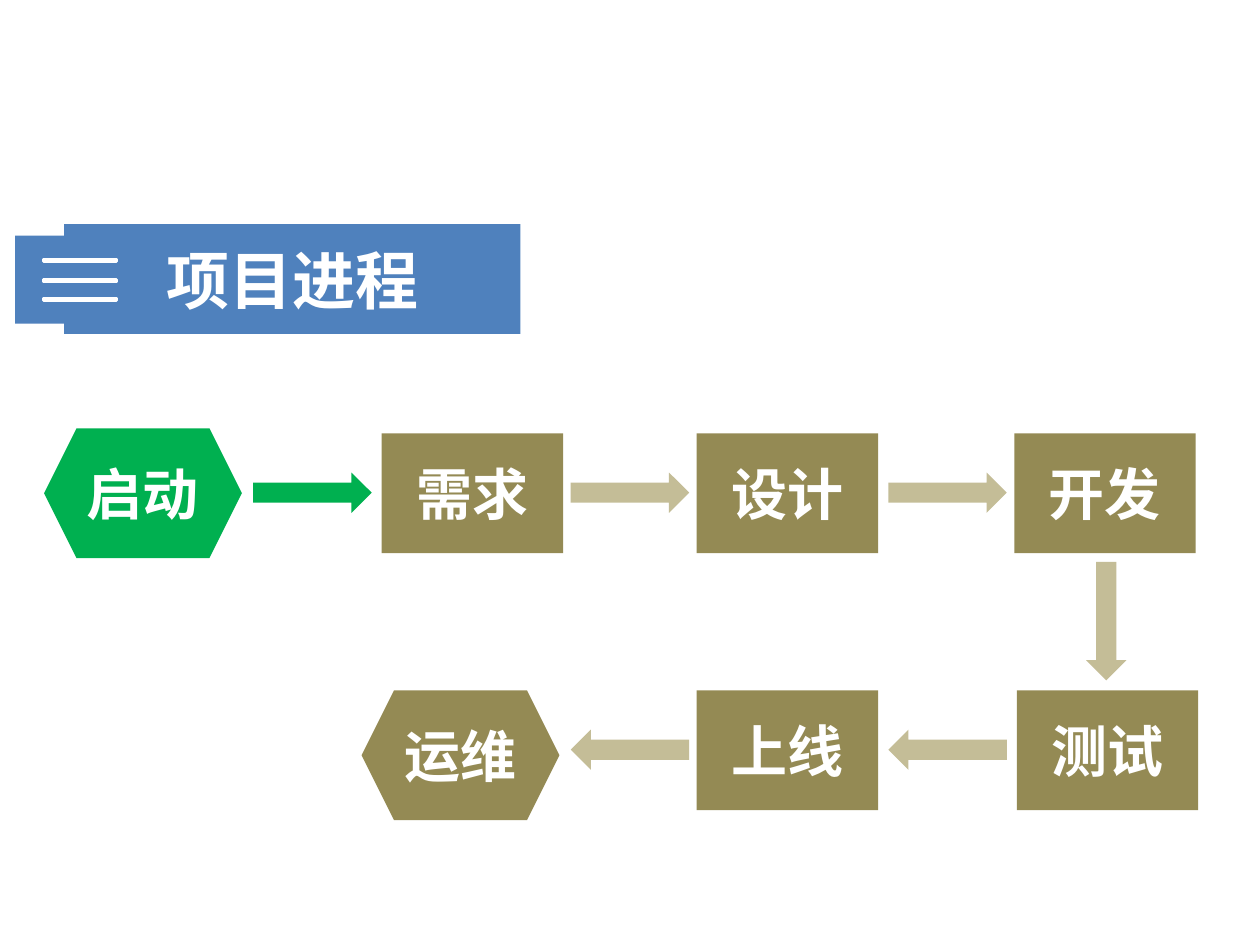
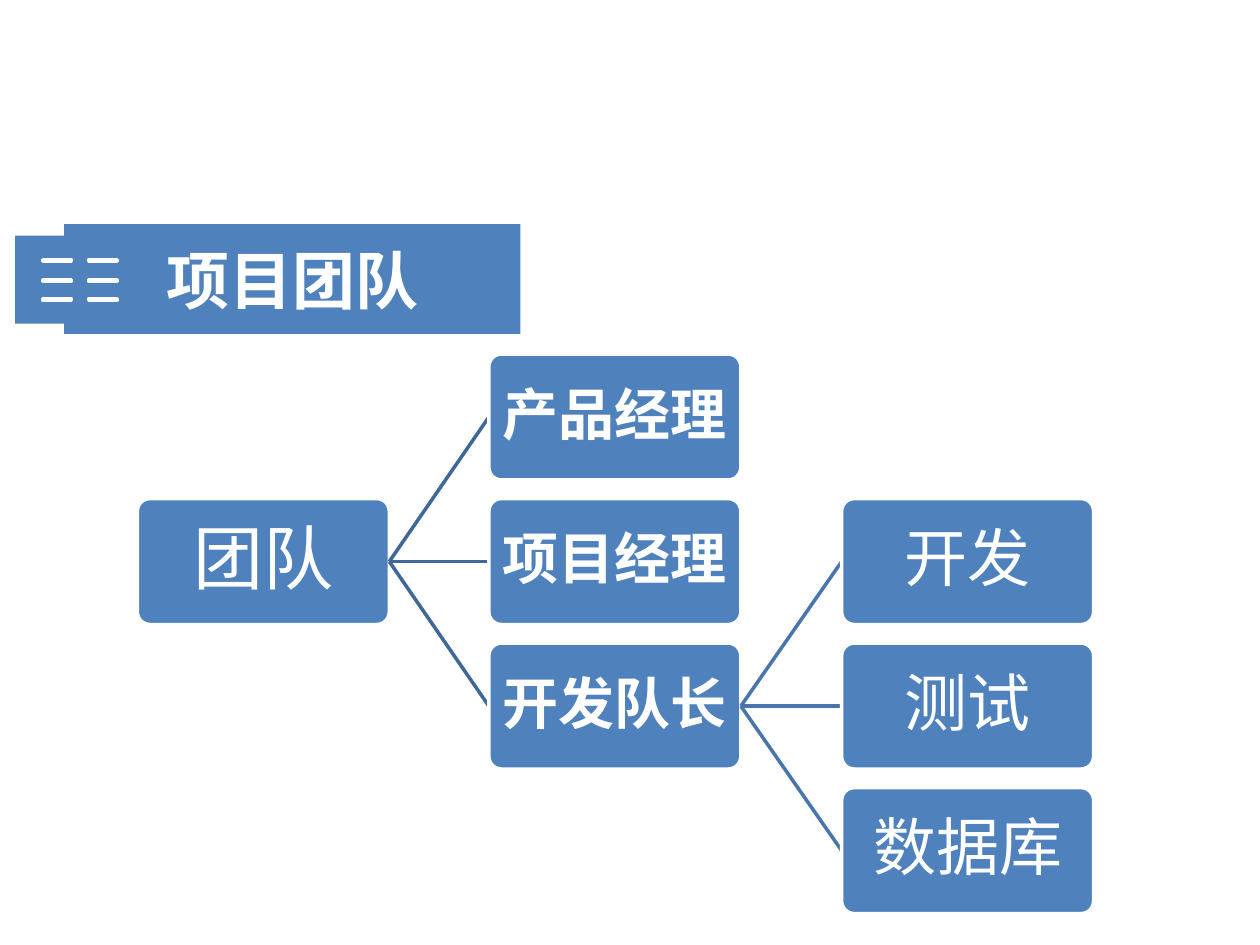
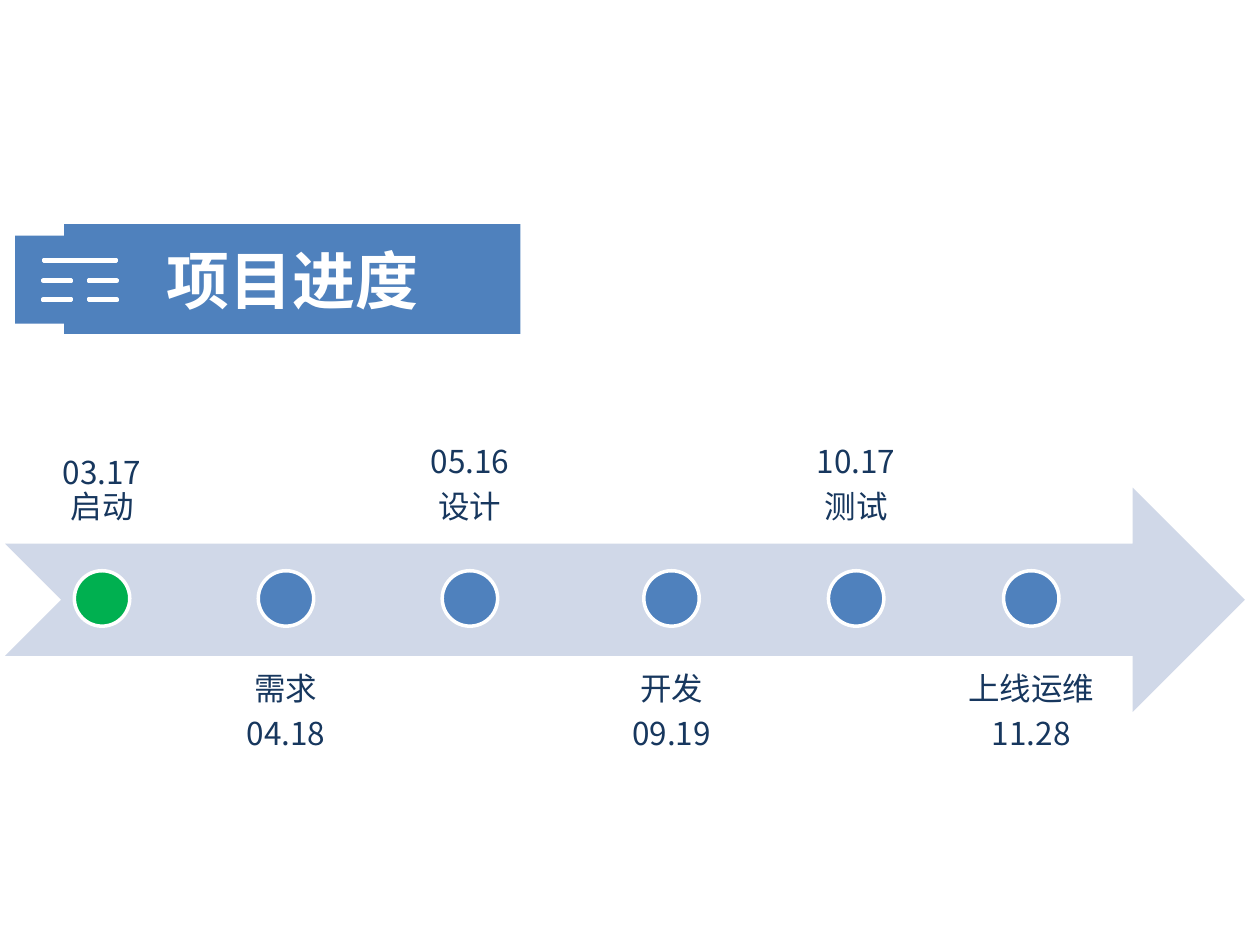
"""Builds three project slides: process flow, team tree and schedule."""
from dataclasses import dataclass
from typing import Optional

from lxml import etree
from pptx import Presentation
from pptx import util as u
from pptx.dml.color import RGBColor
from pptx.enum import shapes, text
from pptx.oxml.ns import qn

COLORS = {
    "white": "FFFFFF",
    "blue": "4F81BD",
    "green": "00B050",
    "olive": "948A54",
    "sand": "C4BD97",
    "pale": "D0D8E8",
    "navy": "17375E",
    "near_link": "3F6797",
    "far_link": "4875AC",
}
FONT = "Noto Sans CJK SC"
SHAPE = shapes.MSO_SHAPE
BAR_TOP, BAR_STEP = 2.05, 0.155
NODE_WIDTH, NODE_HEIGHT = 2, 1
DOT_SIZE, DOT_TOP = 0.44, 4.53
STAGE_LEFT, STAGE_GAP, STAGE_HEIGHT = 0.04, 0.04, 1.78


@dataclass(frozen=True)
class Box:
    """A rectangle in inches."""
    left: float
    top: float
    width: float
    height: float

    def lengths(self) -> tuple:
        """Return the sides as lengths."""
        return tuple(u.Inches(side) for side in (self.left, self.top, self.width, self.height))


@dataclass(frozen=True)
class Step:
    """A step of the process."""
    label: str
    left: float
    top: float
    is_end: bool = False
    color: str = "olive"


@dataclass(frozen=True)
class FlowArrow:
    """An arrow between two steps."""
    left: float
    top: float
    rotation: int = 0
    color: str = "sand"


@dataclass(frozen=True)
class Member:
    """A node of the team tree with its reports."""
    label: str
    left: float
    top: float
    size: int
    bold: bool = False
    reports: tuple = ()
    link_color: str = "near_link"


@dataclass(frozen=True)
class Stage:
    """A dated stage of the schedule."""
    lines: tuple
    width: float
    above: bool
    color: str = "blue"


def rgb(name: str) -> RGBColor:
    """Look up a colour."""
    return RGBColor.from_string(COLORS[name])


def style(paragraph, size: float, color: str, bold: bool = False) -> None:
    """Centre a paragraph and set its Latin and East Asian font."""
    paragraph.alignment = text.PP_ALIGN.CENTER
    font = paragraph.font
    font.name, font.size, font.bold = FONT, u.Pt(size), bold
    font.color.rgb = rgb(color)
    defaults = paragraph._p.get_or_add_pPr().find(qn("a:defRPr"))
    etree.SubElement(defaults, qn("a:ea")).set("typeface", FONT)


def draw_shape(slide, kind, box: Box, fill: str, outline: Optional[str] = None):
    """Draw a flat preset shape."""
    shape = slide.shapes.add_shape(kind, *box.lengths())
    shape.shadow.inherit = False
    shape.fill.solid()
    shape.fill.fore_color.rgb = rgb(fill)
    if outline:
        shape.line.color.rgb = rgb(outline)
        shape.line.width = u.Pt(2)
    else:
        shape.line.fill.background()
    return shape


def write_label(shape, label: str, size: float, bold: bool = True):
    """Write one white centred line into a shape and return its paragraph."""
    frame = shape.text_frame
    frame.vertical_anchor = text.MSO_ANCHOR.MIDDLE
    paragraph = frame.paragraphs[0]
    paragraph.text = label
    style(paragraph, size, "white", bold)
    return paragraph


def set_insets(frame, inset: float) -> None:
    """Give all four sides of a text frame the same inset."""
    frame.margin_left = frame.margin_right = u.Inches(inset)
    frame.margin_top = frame.margin_bottom = u.Inches(inset)


def draw_header(slide, title: str, split_rows: tuple) -> None:
    """Draw the title band and its badge of whole or split bars."""
    band = draw_shape(slide, SHAPE.RECTANGLE, Box(0.51, 1.78, 3.62, 0.87), "blue")
    write_label(band, title, 36)
    draw_shape(slide, SHAPE.RECTANGLE, Box(0.12, 1.87, 1.13, 0.7), "blue")
    for row, is_split in enumerate(split_rows):
        bars = ((0.3, 0.31), (0.66, 0.31)) if is_split else ((0.24, 0.79),)
        for left, width in bars:
            box = Box(left, BAR_TOP + row * BAR_STEP, width, 0.04)
            draw_shape(slide, SHAPE.MATH_MINUS, box, "white", "white")


def draw_step(slide, step: Step) -> None:
    """Draw a step, as a hexagon at either end of the process."""
    kind, size = (SHAPE.HEXAGON, (1.57, 1.03)) if step.is_end else (SHAPE.RECTANGLE, (1.44, 0.95))
    write_label(draw_shape(slide, kind, Box(step.left, step.top, *size), step.color), step.label, 32)


def draw_flow_arrow(slide, arrow: FlowArrow) -> None:
    """Draw a block arrow between steps."""
    box = Box(arrow.left, arrow.top, 0.94, 0.32)
    draw_shape(slide, SHAPE.RIGHT_ARROW, box, arrow.color).rotation = arrow.rotation


def draw_link(slide, manager: Member, report: Member) -> None:
    """Join a manager's right side to a report's left side."""
    ends = (manager.left + NODE_WIDTH, manager.top + NODE_HEIGHT / 2,
            report.left, report.top + NODE_HEIGHT / 2)
    link = slide.shapes.add_connector(
        shapes.MSO_CONNECTOR.STRAIGHT, *(u.Inches(end) for end in ends))
    link.line.color.rgb = rgb(manager.link_color)
    link.line.width = u.Pt(2)
    etree.SubElement(link._element.spPr, qn("a:effectLst"))


def draw_member(slide, member: Member) -> None:
    """Draw a member, then the links and nodes below it."""
    box = Box(member.left, member.top, NODE_WIDTH, NODE_HEIGHT)
    node = draw_shape(slide, SHAPE.ROUNDED_RECTANGLE, box, "blue", "white")
    node.adjustments[0] = 0.1
    set_insets(node.text_frame, 0.02)
    write_label(node, member.label, member.size, member.bold).line_spacing = 0.9
    for report in member.reports:
        draw_link(slide, member, report)
        draw_member(slide, report)


def draw_stage(slide, stage: Stage, left: float) -> None:
    """Draw a stage's caption and its dot on the timeline."""
    box = Box(left, 2.53 if stage.above else 5.2, stage.width, STAGE_HEIGHT)
    frame = slide.shapes.add_textbox(*box.lengths()).text_frame
    frame.word_wrap = True
    frame.vertical_anchor = text.MSO_ANCHOR.BOTTOM if stage.above else text.MSO_ANCHOR.TOP
    set_insets(frame, 0.14)
    for index, line in enumerate(stage.lines):
        paragraph = frame.add_paragraph() if index else frame.paragraphs[0]
        paragraph.text = line
        paragraph.line_spacing = 0.9
        paragraph.space_after = u.Pt(6.3)
        style(paragraph, 18, "navy")
    dot = Box(left + (stage.width - DOT_SIZE) / 2, DOT_TOP, DOT_SIZE, DOT_SIZE)
    draw_shape(slide, SHAPE.OVAL, dot, stage.color, "white")


def build_process(slide) -> None:
    """Build the process flow."""
    draw_header(slide, "项目进程", (False, False, False))
    for step in (
        Step("启动", 0.35, 3.4, True, "green"),
        Step("需求", 3.03, 3.44),
        Step("设计", 5.53, 3.44),
        Step("开发", 8.05, 3.44),
        Step("测试", 8.07, 5.48),
        Step("上线", 5.53, 5.48),
        Step("运维", 2.87, 5.48, True),
    ):
        draw_step(slide, step)
    for arrow in (
        FlowArrow(2.01, 3.75, color="green"),
        FlowArrow(4.53, 3.75),
        FlowArrow(7.05, 3.75),
        FlowArrow(8.31, 4.77, 90),
        FlowArrow(7.05, 5.79, 180),
        FlowArrow(4.53, 5.79, 180),
    ):
        draw_flow_arrow(slide, arrow)


def build_team(slide) -> None:
    """Build the team tree."""
    draw_header(slide, "项目团队", (True, True, True))
    columns = (1.09, 3.88, 6.68)
    rows = [2.81 + 1.147 * row for row in range(4)]
    crew = tuple(Member(label, columns[2], top, 36)
                 for label, top in zip(("开发", "测试", "数据库"), rows[1:]))
    leads = (
        Member("产品经理", columns[1], rows[0], 32, True),
        Member("项目经理", columns[1], rows[1], 32, True),
        Member("开发队长", columns[1], rows[2], 32, True, crew, "far_link"),
    )
    draw_member(slide, Member("团队", columns[0], rows[1], 40, reports=leads))


def build_schedule(slide) -> None:
    """Build the timeline."""
    draw_header(slide, "项目进度", (False, True, True))
    draw_shape(slide, SHAPE.NOTCHED_RIGHT_ARROW, Box(0.04, 3.87, 9.84, STAGE_HEIGHT), "pale")
    left = STAGE_LEFT
    for stage in (
        Stage(("03.17\v启动",), 1.54, True, "green"),
        Stage(("需求", "04.18"), 1.3, False),
        Stage(("05.16", "设计"), 1.54, True),
        Stage(("开发", "09.19"), 1.58, False),
        Stage(("10.17", "测试"), 1.27, True),
        Stage(("上线运维", "11.28"), 1.43, False),
    ):
        draw_stage(slide, stage, left)
        left += stage.width + STAGE_GAP


def main() -> None:
    """Build and save the presentation."""
    deck = Presentation()
    deck.slide_width, deck.slide_height = u.Inches(10), u.Inches(7.5)
    for build in (build_process, build_team, build_schedule):
        build(deck.slides.add_slide(deck.slide_layouts[6]))
    deck.save("out.pptx")


main()
